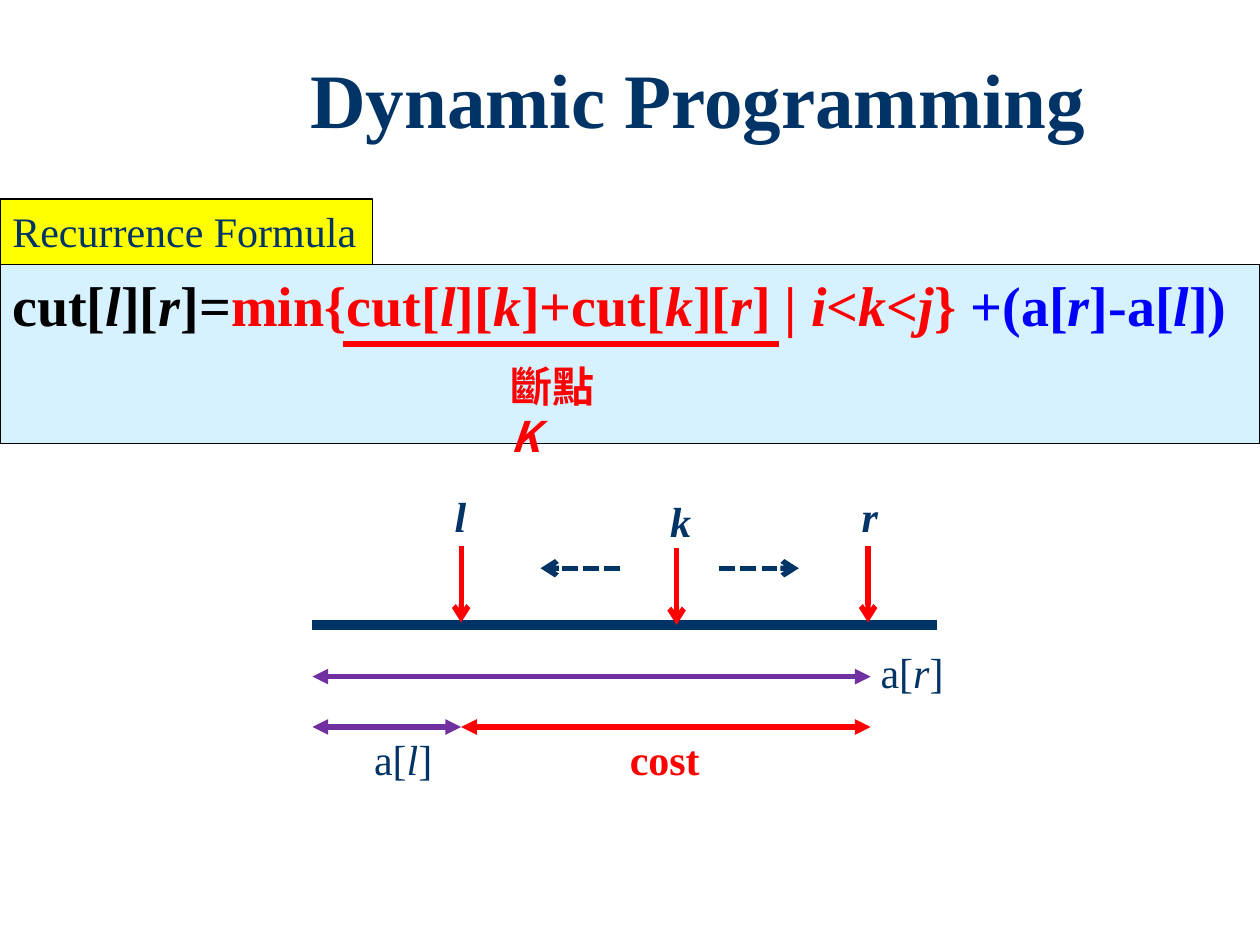
import dataclasses

import lxml.etree
import pptx
import pptx.dml.color
import pptx.enum.dml
import pptx.enum.shapes
import pptx.enum.text
import pptx.oxml.ns
import pptx.util

Inches = pptx.util.Inches
Pt = pptx.util.Pt
Align = pptx.enum.text.PP_ALIGN
Anchor = pptx.enum.text.MSO_ANCHOR


@dataclasses.dataclass(frozen=True)
class Theme:
    """Colours, fonts and type sizes of the slide."""

    navy: str = "003366"
    red: str = "FF0000"
    blue: str = "0000FF"
    purple: str = "7030A0"
    black: str = "000000"
    yellow: str = "FFFF00"
    pale_blue: str = "D6F1FF"
    latin: str = "Times New Roman"
    chinese: str = "Noto Sans CJK SC"
    title: int = 44
    formula: int = 32
    label: int = 24
    border: float = 0.75
    stroke: float = 3
    bar: float = 6


class Painter:
    """Draws styled elements on the current slide."""

    def __init__(self, slide, theme):
        """Keep the slide and its theme."""
        self.slide = slide
        self.theme = theme

    def add_spans(self, para, parts, size, bold=False, font=None):
        """Fill a paragraph from (text, colour) parts, with italics between asterisks."""
        font = font or self.theme.latin
        for text, color in parts:
            for index, piece in enumerate(text.split("*")):
                if not piece:
                    continue
                span = para.add_run()
                span.text = piece
                span.font.name = font
                span.font.size = Pt(size)
                span.font.bold = bold
                span.font.italic = index % 2 == 1
                span.font.color.rgb = pptx.dml.color.RGBColor.from_string(color)
                east = lxml.etree.SubElement(span.font._element, pptx.oxml.ns.qn("a:ea"))
                east.set("typeface", font)

    def text(self, left, top, width, height, parts, size, bold=False, font=None, wrap=False):
        """Add a text box and return its frame."""
        box = self.slide.shapes.add_textbox(*map(Inches, (left, top, width, height)))
        box.text_frame.word_wrap = wrap
        self.add_spans(box.text_frame.paragraphs[0], parts, size, bold, font)
        return box.text_frame

    def label(self, left, top, width, text, color=None, **style):
        """Add a label of standard size and height."""
        parts = [(text, color or self.theme.navy)]
        self.text(left, top, width, 0.5, parts, self.theme.label, **style)

    def panel(self, left, top, width, height, fill, parts, size, bold=False, wrap=True):
        """Add a bordered rectangle with text and return its paragraph."""
        kind = pptx.enum.shapes.MSO_SHAPE.RECTANGLE
        box = self.slide.shapes.add_shape(kind, *map(Inches, (left, top, width, height)))
        box.shadow.inherit = False
        box.fill.solid()
        box.fill.fore_color.rgb = pptx.dml.color.RGBColor.from_string(fill)
        box.line.color.rgb = pptx.dml.color.RGBColor.from_string(self.theme.black)
        box.line.width = Pt(self.theme.border)
        box.text_frame.word_wrap = wrap
        box.text_frame.vertical_anchor = Anchor.TOP
        para = box.text_frame.paragraphs[0]
        para.alignment = Align.LEFT
        self.add_spans(para, parts, size, bold)
        return para

    def line(self, start, end, color, width=None, head=None, tail=None, dashed=False):
        """Add a straight line with optional arrowheads."""
        kind = pptx.enum.shapes.MSO_CONNECTOR.STRAIGHT
        line = self.slide.shapes.add_connector(kind, *map(Inches, (*start, *end)))
        line.line.color.rgb = pptx.dml.color.RGBColor.from_string(color)
        line.line.width = Pt(width or self.theme.stroke)
        if dashed:
            line.line.dash_style = pptx.enum.dml.MSO_LINE.SQUARE_DOT
        outline = line.line._get_or_add_ln()
        for tag, arrow in (("a:headEnd", head), ("a:tailEnd", tail)):
            if arrow:
                lxml.etree.SubElement(outline, pptx.oxml.ns.qn(tag)).set("type", arrow)
        properties = line._element.spPr
        lxml.etree.SubElement(properties, pptx.oxml.ns.qn("a:effectLst"))

    def span(self, left, right, top, color):
        """Add a horizontal double-headed measure."""
        self.line((left, top), (right, top), color, head="triangle", tail="triangle")


def main():
    """Build the slide and save it."""
    deck = pptx.Presentation()
    deck.slide_width, deck.slide_height = Inches(10), Inches(7.5)
    theme = Theme()
    painter = Painter(deck.slides.add_slide(deck.slide_layouts[6]), theme)

    title = painter.text(1.54, 0.36, 8, 0.92, [("Dynamic Programming", theme.navy)],
                         theme.title, bold=True, wrap=True)
    title.vertical_anchor = Anchor.MIDDLE
    title.paragraphs[0].alignment = Align.CENTER
    title.paragraphs[0].line_spacing = 0.9

    formula = [
        ("cut[*l*][*r*]=", theme.black),
        ("min{cut[*l*][*k*]+cut[*k*][*r*] | *i*<*k*<*j*} ", theme.red),
        ("+(a[*r*]-a[*l*])", theme.blue),
    ]
    para = painter.panel(0, 2.1, 10, 1.42, theme.pale_blue, formula, theme.formula, bold=True)
    para.space_before = Pt(4)

    start, left, right, bar = 2.48, 3.66, 6.91, 4.96
    painter.line((start, bar), (7.44, bar), theme.navy, theme.bar)
    markers = [("l", left, 4.33, 3.84, 0.29), ("r", 6.89, 4.33, 3.84, 0.33),
               ("k", 5.37, 4.35, 3.88, 0.37)]
    for name, x, arrow_top, label_top, width in markers:
        painter.line((x, arrow_top), (x, arrow_top + 0.61), theme.red, tail="arrow")
        painter.label(x - 0.15, label_top, width, f"*{name}*", bold=True)
    for inner, outer in ((5.71, 6.34), (4.92, 4.29)):
        painter.line((inner, 4.51), (outer, 4.51), theme.navy, tail="arrow", dashed=True)

    painter.span(start, right, 5.37, theme.purple)
    painter.span(start, left, 5.77, theme.purple)
    painter.span(left, right, 5.77, theme.red)
    painter.label(6.89, 5.08, 0.71, "a[*r*]")
    painter.label(2.87, 5.77, 0.69, "a[*l*]")
    painter.label(4.9, 5.77, 0.76, "cost", theme.red, bold=True)

    painter.panel(0, 1.58, 2.96, 0.52, theme.yellow, [("Recurrence Formula", theme.navy)],
                  theme.label, wrap=False)
    painter.line((2.72, 2.73), (6.18, 2.73), theme.red)
    painter.label(3.95, 2.81, 1.04, "斷點*K*", theme.red, bold=True,
                  font=theme.chinese, wrap=True)
    deck.save("out.pptx")


if __name__ == "__main__":
    main()
